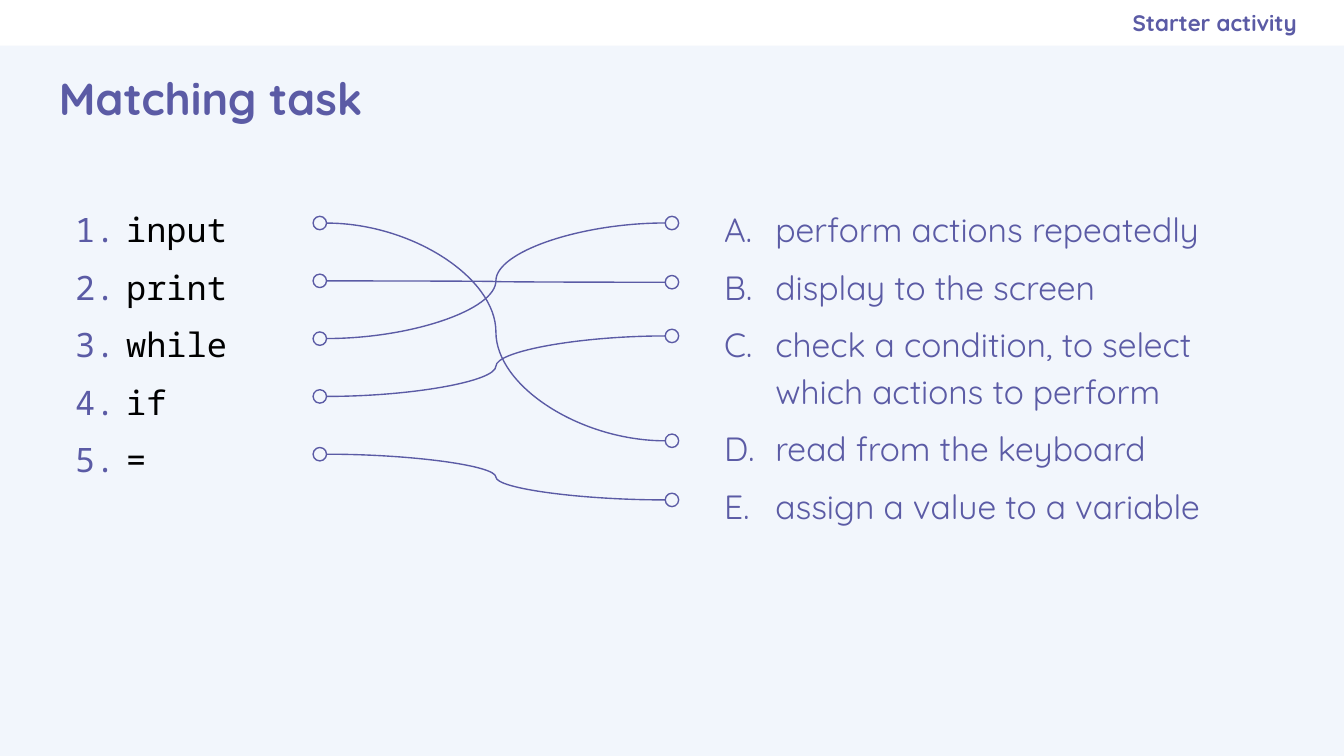
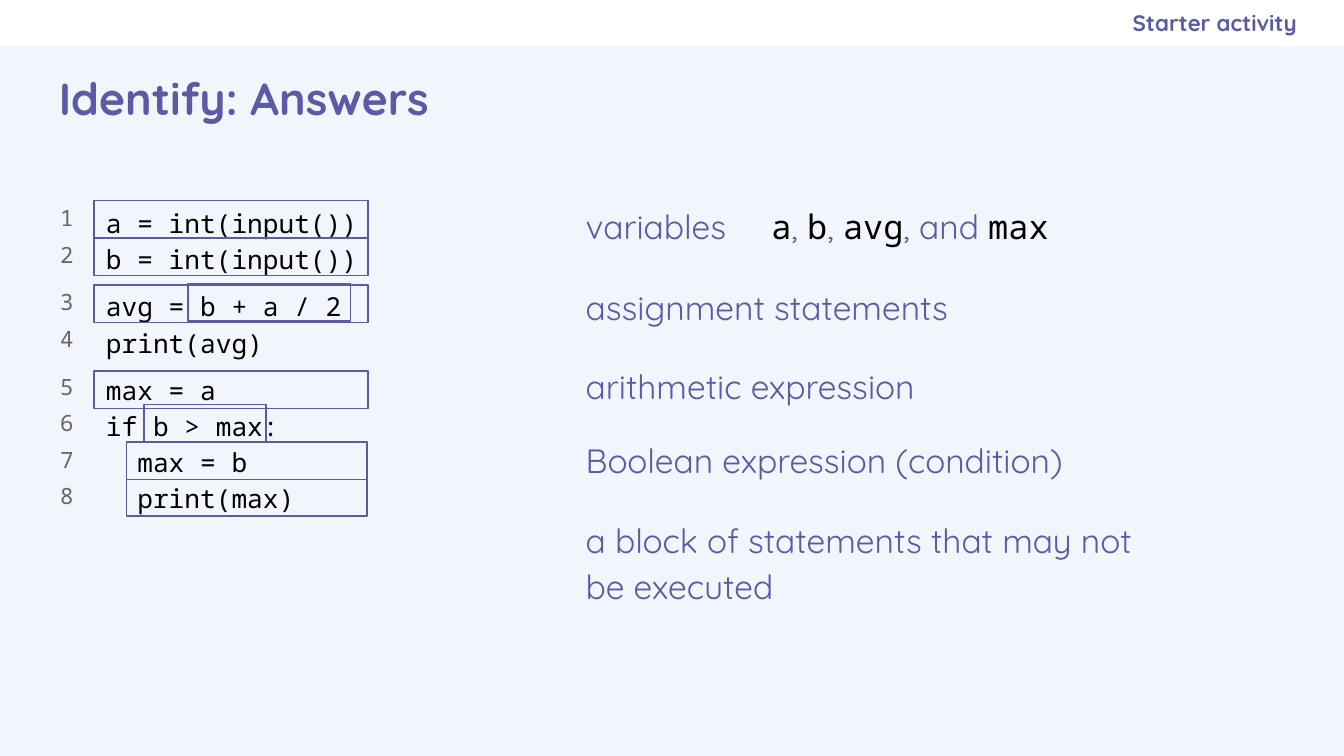
from lxml import etree
from pptx import Presentation
from pptx.dml.color import RGBColor
from pptx.enum import shapes, text
from pptx.oxml import ns
from pptx.util import Inches, Pt

PURPLE = RGBColor(0x5B, 0x5B, 0xA5)
PALE = RGBColor(0xF2, 0xF6, 0xFC)
WHITE = RGBColor(0xFF, 0xFF, 0xFF)
BLACK = RGBColor(0, 0, 0)
GREY = RGBColor(0x66, 0x66, 0x66)
SANS, MONO = "Quicksand", "Noto Sans Mono"

WIDTH = 10
HEIGHT = WIDTH * 9 / 16
BAND = 0.34
DOT = 0.1
LEFT_DOTS, RIGHT_DOTS = 2.33, 4.95
LEFT_YS = [1.61 + 0.43 * row for row in range(5)]
RIGHT_YS = [1.61, 2.05, 2.45, 3.23, 3.67]
MATCHES = [3, 1, 0, 2, 4]

KEYWORDS = ["input", "print", "while", "if", "="]
MEANINGS = ["perform actions repeatedly", "display to the screen",
            "check a condition, to select which actions to perform",
            "read from the keyboard", "assign a value to a variable"]
CODE = ["a = int(input())", "b = int(input())", "avg = b + a / 2", "print(avg)",
        "max = a", "if b > max:", "  max = b", "  print(max)"]
BLOCK_STARTS = (2, 4)
ANSWERS = [("variables", 1.39, 0.51), ("assignment statements", 1.99, 0.51),
           ("arithmetic expression", 2.58, 0.47),
           ("Boolean expression (condition)", 3.13, 0.51),
           ("a block of statements that may not be executed", 3.73, 0.9)]
STATEMENT_YS = [1.49, 1.77, 2.12, 2.76]
INNER_BOXES = [(0.94, 3.29, 1.79, 0.28), (0.94, 3.29, 1.79, 0.55),
               (1.4, 2.11, 1.21, 0.28), (1.07, 3.01, 0.91, 0.28)]


def style(span, size, font, color, bold=False):
    span.font.size = Pt(size)
    span.font.name = font
    span.font.color.rgb = color
    span.font.bold = bold


def add_text(page, place, lines, size, font=SANS, color=PURPLE, bold=False,
             spacing=1.15, insets=(0.1, 0.1, 0.1, 0.1), middle=False):
    """Add a text box with one paragraph per line and return its paragraphs."""
    frame = page.shapes.add_textbox(*map(Inches, place)).text_frame
    frame.word_wrap = True
    (frame.margin_left, frame.margin_top,
     frame.margin_right, frame.margin_bottom) = map(Inches, insets)
    if middle:
        frame.vertical_anchor = text.MSO_ANCHOR.MIDDLE
    frame.text = "\n".join(lines)
    for para in frame.paragraphs:
        para.line_spacing = spacing
        for span in para.runs:
            style(span, size, font, color, bold)
    return frame.paragraphs


def add_numbered_list(page, place, lines, scheme, font, color):
    paras = add_text(page, place, lines, 18, font, color)
    for para in paras[1:]:
        para.space_before = Pt(6)
    paras[-1].space_after = Pt(6)
    for para in paras:
        props = para._p.get_or_add_pPr()
        props.set("marL", str(Inches(0.5)))
        props.set("indent", str(Inches(-0.38)))
        tint = etree.SubElement(props, ns.qn("a:buClr"))
        etree.SubElement(tint, ns.qn("a:srgbClr"), val=str(PURPLE))
        etree.SubElement(props, ns.qn("a:buAutoNum"), type=scheme)


def add_shape(page, kind, place, fill=None):
    """Add a filled shape without a line, or a purple outline if no fill is given."""
    box = page.shapes.add_shape(kind, *map(Inches, place))
    box.shadow.inherit = False
    if fill is None:
        box.fill.background()
        box.line.color.rgb = PURPLE
        box.line.width = Pt(0.75)
    else:
        box.fill.solid()
        box.fill.fore_color.rgb = fill
        box.line.fill.background()


def add_curve(page, start, end):
    curve = page.shapes.add_connector(shapes.MSO_CONNECTOR.CURVE,
                                      *map(Inches, start + end))
    curve.line.color.rgb = PURPLE
    curve.line.width = Pt(0.75)
    etree.SubElement(curve._element.spPr, ns.qn("a:effectLst"))


def add_page(deck, title):
    page = deck.slides.add_slide(deck.slide_layouts[6])
    page.background.fill.solid()
    page.background.fill.fore_color.rgb = PALE
    add_shape(page, shapes.MSO_SHAPE.RECTANGLE, (0, 0, WIDTH, BAND), WHITE)
    label, = add_text(page, (5.75, 0, 3.9, BAND), ["Starter activity"], 12, bold=True,
                      spacing=1.0, insets=(0.1, 0.1, 0, 0.1), middle=True)
    label.alignment = text.PP_ALIGN.RIGHT
    add_text(page, (0.34, BAND, 9.32, 0.77), [title], 24, bold=True,
             spacing=1.0, middle=True)
    return page


def build_matching(deck):
    page = add_page(deck, "Matching task")
    add_numbered_list(page, (5.17, 1.41, 4.48, 2.65), MEANINGS,
                      "alphaUcPeriod", SANS, PURPLE)
    add_numbered_list(page, (0.34, 1.41, 2.65, 1.92), KEYWORDS,
                      "arabicPeriod", MONO, BLACK)
    for left, ys in ((LEFT_DOTS, LEFT_YS), (RIGHT_DOTS, RIGHT_YS)):
        for top in ys:
            add_shape(page, shapes.MSO_SHAPE.OVAL, (left, top, DOT, DOT))
    for top, match in zip(LEFT_YS, MATCHES):
        add_curve(page, (LEFT_DOTS + DOT, top + DOT / 2),
                  (RIGHT_DOTS, RIGHT_YS[match] + DOT / 2))


def add_code(page):
    """Add the program and its line numbers, with a gap before each block."""
    code = add_text(page, (0.69, 1.41, 2.38, 2.52), CODE, 14, MONO, BLACK)
    numbers = add_text(page, (0.35, 1.43, 0.3, 2.67),
                       [str(row + 1) for row in range(len(CODE))], 12, MONO, GREY,
                       insets=(0.1, 0.06, 0.1, 0.1))
    for row, (line, number) in enumerate(zip(code, numbers)):
        gap = 6 if row in BLOCK_STARTS else 0
        line.space_before = Pt(gap)
        number.space_before = Pt(gap + 3)
    numbers[-1].space_after = Pt(3)


def build_answers(deck):
    page = add_page(deck, "Identify: Answers")
    add_code(page)
    statements = [(0.7, top, 2.04, 0.28) for top in STATEMENT_YS]
    for place in statements + INNER_BOXES:
        add_shape(page, shapes.MSO_SHAPE.RECTANGLE, place)
    for answer, top, height in ANSWERS:
        para, = add_text(page, (4.26, top, 4.47, height), [answer], 18, spacing=1.14,
                         insets=(0.1, 0.1, 0.06, 0.1))
        para.space_after = Pt(10)
    names, = add_text(page, (5.64, 1.39, 2.48, 0.42), ["a"], 18, MONO, BLACK)
    for joint, name in ((", ", "b"), (", ", "avg"), (", and ", "max")):
        for words, font, color in ((joint, SANS, PURPLE), (name, MONO, BLACK)):
            span = names.add_run()
            span.text = words
            style(span, 18, font, color)


def main():
    deck = Presentation()
    deck.slide_width, deck.slide_height = Inches(WIDTH), Inches(HEIGHT)
    build_matching(deck)
    build_answers(deck)
    deck.save("out.pptx")


if __name__ == "__main__":
    main()
